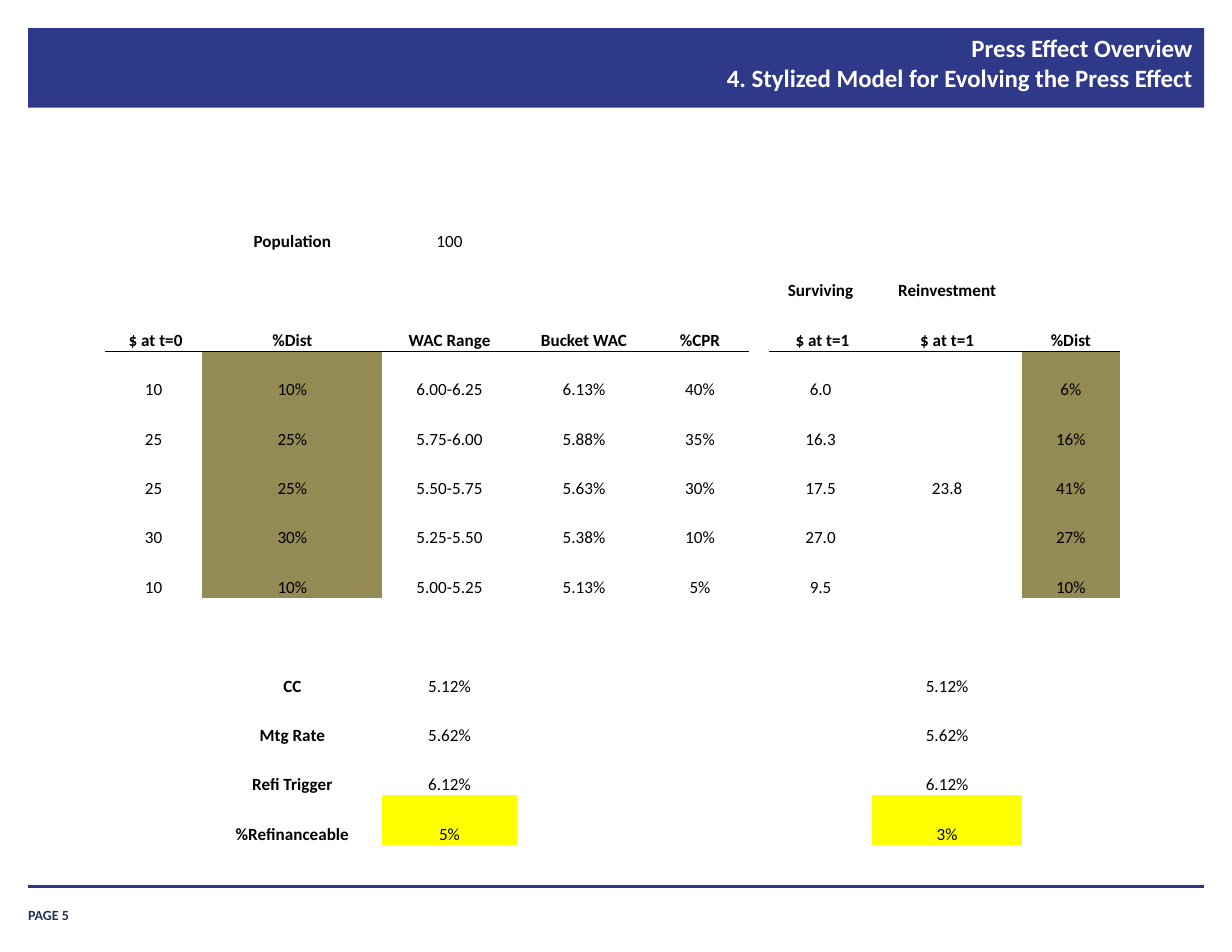
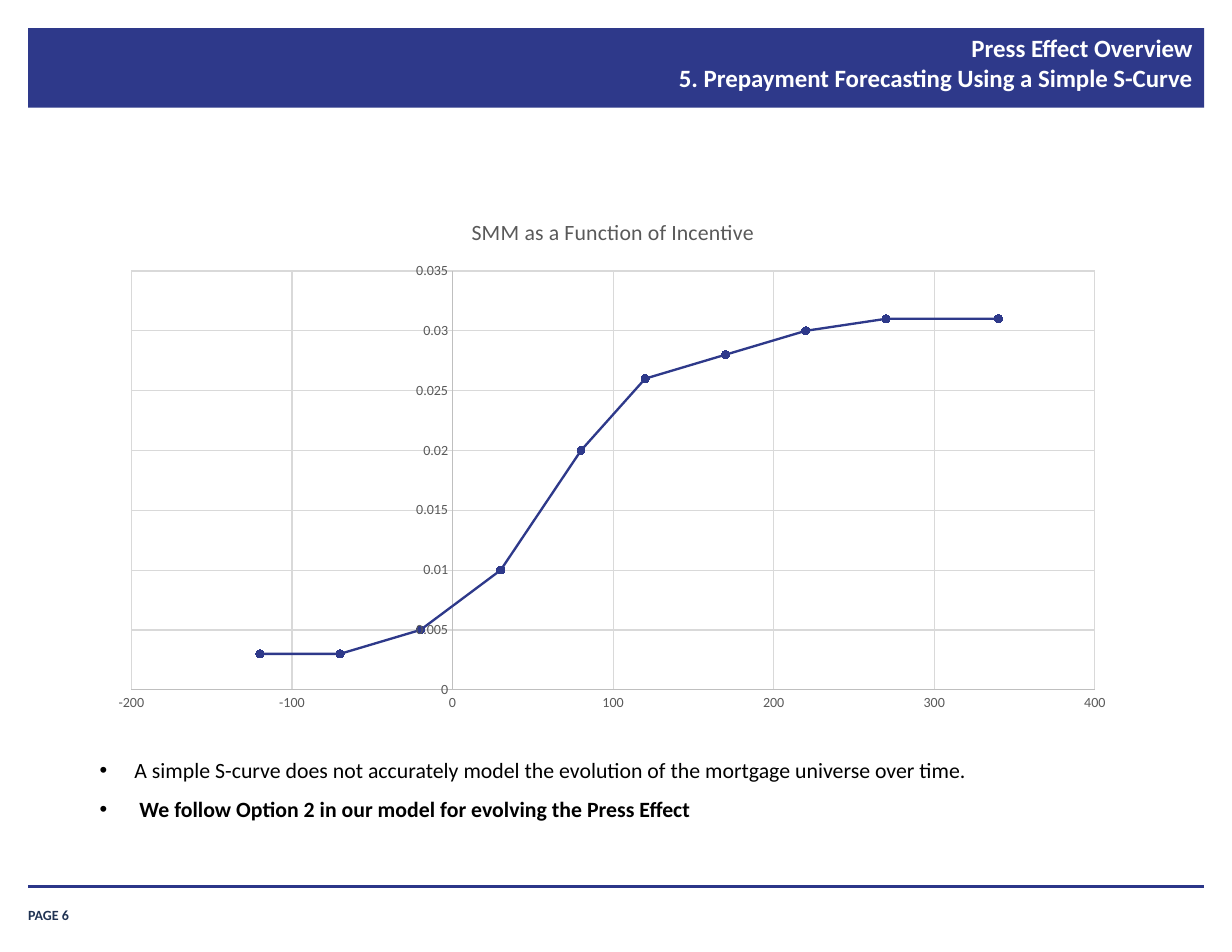
import pptx
import pptx.chart.data
import pptx.dml.color
import pptx.enum.chart
import pptx.enum.shapes
import pptx.enum.text
import pptx.oxml
import pptx.oxml.ns
import pptx.util
from lxml import etree

Cm = pptx.util.Cm
Pt = pptx.util.Pt
qn = pptx.oxml.ns.qn
ALIGN = pptx.enum.text.PP_ALIGN
ANCHOR = pptx.enum.text.MSO_ANCHOR

FONT = "Calibri"
NAVY, RULE, INK = "2E398A", "2B3689", "203353"
BLACK, WHITE, GREY = "000000", "FFFFFF", "595959"
AXIS, GRID = "BFBFBF", "D9D9D9"
OLIVE, YELLOW = "948A54", "FFFF00"
PLAIN_TABLE = "{2D5ABB26-0587-4C30-8999-92F81FD0307C}"
LEFT, WIDTH = 0.64, 26.67
EFFECT = "Press Effect"

COLUMNS = [2.21, 4.08, 3.05, 3.05, 2.21, 0.46, 2.34, 3.4, 2.21]
ROW_HEIGHT = 1.12
SPACER = 5
HEADER_ROW = 2
BUCKET_ROWS = range(3, 8)
ROWS = [
    ["", "Population", "100", "", "", "", "", "", ""],
    ["", "", "", "", "", "", "Surviving", "Reinvestment", ""],
    [" $ at t=0", "%Dist", "WAC Range", "Bucket WAC", "%CPR", "",
     " $ at t=1", "$ at t=1", "%Dist"],
    ["10", "10%", "6.00-6.25", "6.13%", "40%", "", "6.0", "", "6%"],
    ["25", "25%", "5.75-6.00", "5.88%", "35%", "", "16.3", "", "16%"],
    ["25", "25%", "5.50-5.75", "5.63%", "30%", "", "17.5", "23.8", "41%"],
    ["30", "30%", "5.25-5.50", "5.38%", "10%", "", "27.0", "", "27%"],
    ["10", "10%", "5.00-5.25", "5.13%", "5%", "", "9.5", "", "10%"],
    [""] * 9,
    ["", "CC", "5.12%", "", "", "", "", "5.12%", ""],
    ["", "Mtg Rate", "5.62%", "", "", "", "", "5.62%", ""],
    ["", "Refi Trigger", "6.12%", "", "", "", "", "6.12%", ""],
    ["", "%Refinanceable", "5%", "", "", "", "", "3%", ""],
]
SMM_POINTS = [
    (-120, 0.003), (-70, 0.003), (-20, 0.005), (30, 0.01), (80, 0.02),
    (120, 0.026), (170, 0.028), (220, 0.03), (270, 0.031), (340, 0.031),
]


def rgb(color):
    return pptx.dml.color.RGBColor.from_string(color)


def style_font(font, size, color, bold=False):
    font.name, font.size, font.bold = FONT, Pt(size), bold
    font.color.rgb = rgb(color)


def style_line(line, color, width):
    line.color.rgb = rgb(color)
    line.width = Pt(width)


def add_run(p, text, size, color, bold=False):
    r = p.add_run()
    r.text = text
    style_font(r.font, size, color, bold)


def set_margins(box, sides, ends):
    box.margin_left = box.margin_right = Cm(sides)
    box.margin_top = box.margin_bottom = Cm(ends)


def add_text_box(s, left, top, width, height, sides=0.25, ends=0.13):
    sp = s.shapes.add_textbox(Cm(left), Cm(top), Cm(width), Cm(height))
    tf = sp.text_frame
    tf.word_wrap = True
    set_margins(tf, sides, ends)
    return tf


def add_band(s):
    sp = s.shapes.add_shape(pptx.enum.shapes.MSO_SHAPE.RECTANGLE,
                            Cm(LEFT), Cm(0.64), Cm(WIDTH), Cm(1.8))
    sp.shadow.inherit = False
    sp.fill.solid()
    sp.fill.fore_color.rgb = rgb(NAVY)
    sp.line.fill.background()


def add_title(s, subtitle):
    tf = add_text_box(s, 8.43, 0.61, 18.9, 1.88, 0.28, 0.13)
    p = tf.paragraphs[0]
    p.alignment = ALIGN.RIGHT
    add_run(p, f"{EFFECT} Overview", 16, WHITE, True)
    p.add_line_break()
    add_run(p, subtitle, 16, WHITE, True)


def add_footer(s, page):
    tf = add_text_box(s, LEFT, 20.37, 2.31, 0.58, 0, 0)
    tf.vertical_anchor = ANCHOR.BOTTOM
    add_run(tf.paragraphs[0], f"PAGE {page}", 9, INK, True)
    rule = s.shapes.add_connector(
        pptx.enum.shapes.MSO_CONNECTOR.STRAIGHT,
        Cm(LEFT), Cm(20.1), Cm(LEFT + WIDTH), Cm(20.1))
    style_line(rule.line, RULE, 2)
    etree.SubElement(rule._element.spPr, qn("a:effectLst"))


def add_slide(prs, subtitle, page):
    s = prs.slides.add_slide(prs.slide_layouts[6])
    add_band(s)
    add_footer(s, page)
    add_title(s, subtitle)
    return s


def cell_fill(row, col):
    if row in BUCKET_ROWS and col in (1, 8):
        return OLIVE
    if row == len(ROWS) - 1 and col in (2, 7):
        return YELLOW
    return None


def is_bold(row, col):
    if row == 0 or row > BUCKET_ROWS[-1]:
        return col == 1
    return row <= HEADER_ROW


def add_bottom_border(cell):
    cell._tc.get_or_add_tcPr().insert(0, pptx.oxml.parse_xml(
        '<a:lnB xmlns:a="http://schemas.openxmlformats.org/drawingml/2006/main"'
        f' w="6350"><a:solidFill><a:srgbClr val="{BLACK}"/></a:solidFill></a:lnB>'))


def fill_cell(cell, row, col):
    set_margins(cell, 0.02, 0.02)
    cell.margin_bottom = 0
    cell.vertical_anchor = ANCHOR.BOTTOM
    color = cell_fill(row, col)
    if color:
        cell.fill.solid()
        cell.fill.fore_color.rgb = rgb(color)
    else:
        cell.fill.background()
    if row == HEADER_ROW and col != SPACER:
        add_bottom_border(cell)
    p = cell.text_frame.paragraphs[0]
    p.alignment = ALIGN.CENTER
    if ROWS[row][col]:
        add_run(p, ROWS[row][col], 11, BLACK, is_bold(row, col))


def add_model_table(s):
    frame = s.shapes.add_table(len(ROWS), len(COLUMNS), Cm(2.38), Cm(4.6),
                               Cm(sum(COLUMNS)), Cm(ROW_HEIGHT * len(ROWS)))
    table = frame.table
    table.first_row = table.horz_banding = False
    table._tbl.tblPr.find(qn("a:tableStyleId")).text = PLAIN_TABLE
    for column, width in zip(table.columns, COLUMNS):
        column.width = Cm(width)
    for i, row in enumerate(table.rows):
        row.height = Cm(ROW_HEIGHT)
        for j, cell in enumerate(row.cells):
            fill_cell(cell, i, j)


def make_layout(**settings):
    layout = etree.Element(qn("c:layout"))
    manual = etree.SubElement(layout, qn("c:manualLayout"))
    for name, value in settings.items():
        etree.SubElement(manual, qn(f"c:{name}")).set("val", str(value))
    return layout


def set_layout(parent, position, **settings):
    for old in parent.findall(qn("c:layout")):
        parent.remove(old)
    parent.insert(position, make_layout(**settings))


def style_axis(axis, low, high, step):
    axis.minimum_scale, axis.maximum_scale, axis.major_unit = low, high, step
    axis.major_tick_mark = axis.minor_tick_mark = pptx.enum.chart.XL_TICK_MARK.NONE
    axis.has_major_gridlines = True
    style_line(axis.major_gridlines.format.line, GRID, 0.75)
    style_line(axis.format.line, AXIS, 0.75)
    style_font(axis.tick_labels.font, 9, GREY)
    axis.tick_labels.number_format = "General"
    axis.tick_labels.number_format_is_linked = False


def add_smm_chart(s):
    data = pptx.chart.data.XyChartData()
    points = data.add_series("Series 1")
    for incentive, smm in SMM_POINTS:
        points.add_data_point(incentive, smm)
    chart = s.shapes.add_chart(
        pptx.enum.chart.XL_CHART_TYPE.XY_SCATTER_LINES,
        Cm(2.21), Cm(4.47), Cm(23.32), Cm(11.89), data).chart
    style_font(chart.font, 10, BLACK)
    chart.has_legend = False
    chart.has_title = True
    add_run(chart.chart_title.text_frame.paragraphs[0],
            "SMM as a Function of Incentive", 14, GREY)
    set_layout(chart.chart_title._element, 1,
               xMode="edge", yMode="edge", x=0.36, y=0.03)
    set_layout(chart._chartSpace.chart.plotArea, 0, layoutTarget="inner",
               xMode="edge", yMode="edge", x=0.033, y=0.141, w=0.937, h=0.799)
    style_axis(chart.category_axis, -200, 400, 100)
    style_axis(chart.value_axis, 0, 0.035, 0.005)
    plot = chart.plots[0]
    plot.vary_by_categories = False
    series = plot.series[0]
    series.smooth = False
    style_line(series.format.line, NAVY, 1.5)
    marker = series.marker
    marker.style = pptx.enum.chart.XL_MARKER_STYLE.CIRCLE
    marker.size = 5
    marker.format.fill.solid()
    marker.format.fill.fore_color.rgb = rgb(NAVY)
    style_line(marker.format.line, NAVY, 0.75)


def add_bullet(p, text, bold):
    p_pr = p._p.get_or_add_pPr()
    p_pr.set("marL", str(Cm(0.79)))
    p_pr.set("indent", str(-Cm(0.79)))
    etree.SubElement(p_pr, qn("a:buFont")).set("typeface", "Arial")
    etree.SubElement(p_pr, qn("a:buChar")).set("char", "•")
    p.line_spacing = 1.5
    add_run(p, text, 14, BLACK, bold)


def add_conclusions(s):
    tf = add_text_box(s, 2.01, 16.74, 23.75, 2.95)
    tf.auto_size = pptx.enum.text.MSO_AUTO_SIZE.SHAPE_TO_FIT_TEXT
    add_bullet(tf.paragraphs[0],
               "A simple S-curve does not accurately model the evolution of "
               "the mortgage universe over time.", False)
    add_bullet(tf.add_paragraph(),
               f" We follow Option 2 in our model for evolving the {EFFECT}", True)


def main():
    prs = pptx.Presentation()
    prs.slide_width, prs.slide_height = Cm(27.94), Cm(21.59)
    s = add_slide(prs, f"4. Stylized Model for Evolving the {EFFECT}", 5)
    add_model_table(s)
    s = add_slide(prs, "5. Prepayment Forecasting Using a Simple S-Curve", 6)
    add_smm_chart(s)
    add_conclusions(s)
    prs.save("out.pptx")


if __name__ == "__main__":
    main()
